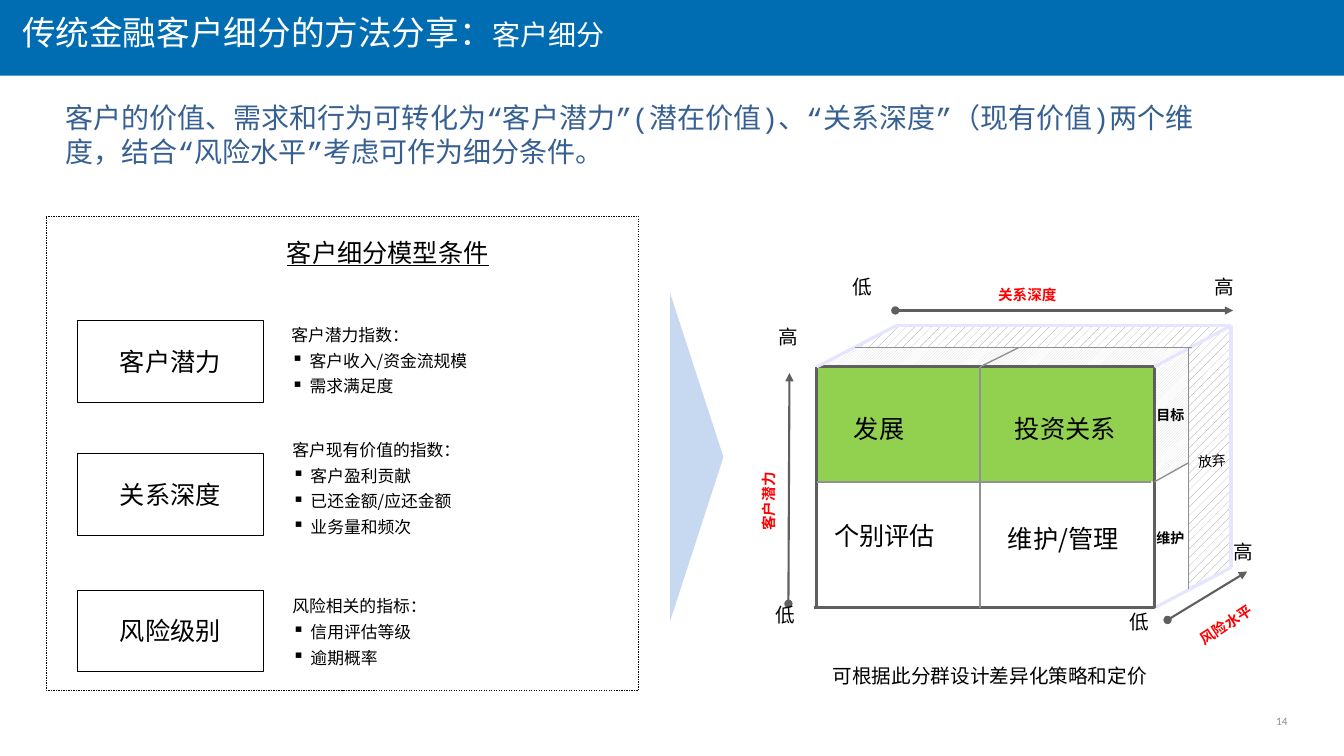
from pptx import Presentation
from pptx.dml.color import RGBColor
from pptx.enum.dml import MSO_LINE, MSO_PATTERN
from pptx.enum.shapes import MSO_CONNECTOR, MSO_SHAPE
from pptx.enum.text import MSO_ANCHOR, MSO_AUTO_SIZE, PP_ALIGN
from pptx.oxml.ns import qn
from pptx.util import Inches, Pt
from lxml import etree

RECT, TRIANGLE, RIGHT_TRIANGLE = (MSO_SHAPE.RECTANGLE, MSO_SHAPE.ISOSCELES_TRIANGLE,
                                  MSO_SHAPE.RIGHT_TRIANGLE)
DOTS, DIAGONAL = MSO_PATTERN.PERCENT_20, MSO_PATTERN.DARK_UPWARD_DIAGONAL
LEFT, CENTER, RIGHT = PP_ALIGN.LEFT, PP_ALIGN.CENTER, PP_ALIGN.RIGHT
TOP, MIDDLE = MSO_ANCHOR.TOP, MSO_ANCHOR.MIDDLE
SANS, MONO, LATIN = "Noto Sans CJK SC", "Courier New", "Calibri"
COLORS = dict(banner="006DB2", white="FFFFFF", black="000000", summary="376092",
              arrow="C6D9F1", page="8C8C8C", red="FF0000", green="92D050",
              axis="5F5F5F", edge="E5E5FF", inner="919191", hatch="DADADA")

# Content
TITLE = ("传统金融客户细分的方法分享：", "客户细分")
SUMMARY = ("客户的价值、需求和行为可转化为“客户潜力”(潜在价值)、“关系深度”（现有价值)"
           "两个维度，结合“风险水平”考虑可作为细分条件。")
PANEL_TITLE = "客户细分模型条件"
CRITERIA = [  # name, box top, list left, list top, list heading, bullets
    ("客户潜力", 3.18, 2.49, 3.14, "客户潜力指数：", ["客户收入/资金流规模", "需求满足度"]),
    ("关系深度", 4.5, 2.5, 4.28, "客户现有价值的指数：",
     ["客户盈利贡献", "已还金额/应还金额", "业务量和频次"]),
    ("风险级别", 5.85, 2.5, 5.83, "风险相关的指标：", ["信用评估等级", "逾期概率"]),
]
AXIS_ENDS = [("低", 11.12, 6.01), ("低", 8.38, 2.68), ("高", 11.97, 2.68),
             ("高", 12.15, 5.31), ("高", 7.64, 3.18), ("低", 7.61, 5.94)]
AXIS_NAMES = [("关系深度", 9.82, 2.84, 0), ("客户潜力", 7.26, 4.79, 270),
              ("风险水平", 11.81, 6.08, 327)]
QUADRANTS = [("发展", 8.43, 4.06, 0.58), ("投资关系", 10.02, 4.06, 1.09),
             ("个别评估", 8.23, 5.12, 1.09), ("维护/管理", 9.62, 5.15, 1.85)]
SIDE_LABELS = [("放弃", 11.84, 4.45, 355.5, False), ("目标", 11.43, 3.99, 0, True),
               ("维护", 11.43, 5.21, 0, True)]
FOOTNOTE = "可根据此分群设计差异化策略和定价"

# Cube geometry: front face, middle layer, back face
X0, XM, X1 = 8.1, 9.72, 11.45
Y0, YM, Y1 = 3.64, 4.78, 6.03
LAYER_X, LAYER_Y = 11.79, 3.45
BACK_X0, BACK_X1, BACK_Y0, BACK_Y1 = 8.89, 12.21, 3.23, 5.63
BACK_FACE = [(LAYER_X, LAYER_Y), (8.5, LAYER_Y), (BACK_X0, BACK_Y0), (BACK_X1, BACK_Y0),
             (BACK_X1, BACK_Y1), (LAYER_X, 5.83)]
LAYER_TOP = [(RIGHT_TRIANGLE, (8.22, 3.36, 0.2, 0.35), 270),
             (RECT, (8.46, LAYER_Y, 3.01, 0.18), 0)]
LAYER_SIDE = [(RECT, (11.15, 3.95, 0.95, 0.34), 90),
              (RIGHT_TRIANGLE, (11.54, 3.41, 0.18, 0.32), 270),
              (RIGHT_TRIANGLE, (11.55, 4.48, 0.18, 0.36), 90),
              (RIGHT_TRIANGLE, (11.53, 3.37, 0.18, 0.34), 90)]
OUTER_LINES = [  # from, to, colour
    ((8.07, Y1), (11.47, Y1), "axis"),
    ((BACK_X0, BACK_Y0), (BACK_X1, BACK_Y0), "edge"),
    ((X0, Y0), (X0, Y1), "axis"),
    ((X1, Y1), (BACK_X1, BACK_Y1), "edge"),
    ((BACK_X1, BACK_Y0), (BACK_X1, BACK_Y1), "edge"),
    ((X0, Y0), (11.47, Y0), "axis"),
    ((X0, Y0), (BACK_X0, BACK_Y0), "edge"),
]
AXES = [((7.82, 5.99), (7.83, 3.7)), ((8.88, 3.08), (12.23, 3.08)),
        ((11.58, 6.15), (12.37, 5.67))]
INNER_LINES = [
    ((LAYER_X, LAYER_Y), (LAYER_X, 5.84)), ((X1, YM), (LAYER_X, 4.59)),
    ((8.48, LAYER_Y), (11.82, LAYER_Y)), ((XM, Y0), (10.1, LAYER_Y)),
    ((XM, Y0), (XM, Y1)), ((X0, YM), (11.42, YM)),
]

prs = Presentation()
prs.slide_width, prs.slide_height = Inches(13.33), Inches(7.5)
s = prs.slides.add_slide(prs.slide_layouts[6])


def rgb(name):
    return RGBColor.from_string(COLORS[name])


def style_run(r, size, color="black", font=SANS, bold=False):
    r.font.size, r.font.name, r.font.bold = Pt(size), font, bold
    r.font.color.rgb = rgb(color)
    etree.SubElement(r.font._element, qn("a:ea")).set("typeface", font)
    r.font._element.set("lang", "zh-CN")


def frame(sp, inset=(0.08, 0.08), anchor=TOP, wrap=True, grow=False):
    tf = sp.text_frame
    tf.word_wrap, tf.vertical_anchor = wrap, anchor
    tf.auto_size = MSO_AUTO_SIZE.SHAPE_TO_FIT_TEXT if grow else MSO_AUTO_SIZE.NONE
    tf.margin_left = tf.margin_right = Inches(inset[0])
    tf.margin_top = tf.margin_bottom = Inches(inset[1])
    return tf


def add_text(text, box, size, color="black", font=SANS, bold=False, align=LEFT,
             rotation=0, **layout):
    sp = s.shapes.add_textbox(*map(Inches, box))
    sp.rotation = rotation
    tf = frame(sp, **layout)
    tf.text = text
    p = tf.paragraphs[0]
    p.alignment = align
    style_run(p.runs[0], size, color, font, bold)
    return p


def add_shape(kind, box, fill=None, rotation=0, line=None):
    sp = s.shapes.add_shape(kind, *map(Inches, box))
    sp.shadow.inherit = False
    sp.rotation = rotation
    if fill:
        sp.fill.solid()
        sp.fill.fore_color.rgb = rgb(fill)
    else:
        sp.fill.background()
    if line:
        sp.line.color.rgb, sp.line.width = rgb(line), Pt(0.25)
    else:
        sp.line.fill.background()
    return sp


def hatch(sp, pattern, color):
    sp.fill.patterned()
    sp.fill.pattern = pattern
    sp.fill.fore_color.rgb, sp.fill.back_color.rgb = rgb(color), rgb("white")


def add_line(start, end, color, width, arrow=False):
    c = s.shapes.add_connector(MSO_CONNECTOR.STRAIGHT, *map(Inches, start + end))
    c.line.color.rgb, c.line.width = rgb(color), Pt(width)
    if arrow:
        ln = c.line._get_or_add_ln()
        for tag, kind in (("a:headEnd", "oval"), ("a:tailEnd", "triangle")):
            etree.SubElement(ln, qn(tag)).set("type", kind)
    etree.SubElement(c._element.spPr, qn("a:effectLst"))


# Banner, summary and page number
add_shape(RECT, (0, 0, 13.33, 0.75), "banner")
p = add_text(TITLE[0], (0.22, 0.12, 12.23, 0.51), 24, "white", inset=(0, 0))
r = p.add_run()
r.text = TITLE[1]
style_run(r, 20, "white")
add_text("14", (11.62, 7.01, 1.15, 0.28), 8, "page", LATIN, align=RIGHT,
         inset=(0, 0), anchor=MIDDLE)
add_text(SUMMARY, (0.55, 0.95, 11.43, 0.74), 20, "summary", MONO, inset=(0.1, 0.05))

# Criteria panel
add_shape(TRIANGLE, (5.28, 4.27, 3.26, 0.53), "arrow", 90)
add_shape(RECT, (0.46, 2.14, 5.87, 4.71), line="black").line.dash_style = MSO_LINE.DASH
p = add_text(PANEL_TITLE, (2.15, 2.24, 3.39, 0.49), 18, align=CENTER, grow=True)
p.line_spacing = 1.1
p.runs[0].font.underline = True
for name, box_top, list_left, list_top, heading, bullets in CRITERIA:
    tf = frame(add_shape(RECT, (0.77, box_top, 1.84, 0.81), line="black"), anchor=MIDDLE)
    tf.text = name
    tf.paragraphs[0].alignment = CENTER
    style_run(tf.paragraphs[0].runs[0], 18)
    height = 0.36 + 0.26 * len(bullets)
    tf = frame(s.shapes.add_textbox(*map(Inches, (list_left, list_top, 4.47, height))),
               grow=True)
    tf.text = "\n".join([heading] + bullets)
    for i, p in enumerate(tf.paragraphs):
        pPr = p._p.get_or_add_pPr()
        pPr.set("marL", str(Inches(0.5)))
        pPr.set("indent", str(Inches(-0.18)))
        if i:
            etree.SubElement(pPr, qn("a:buChar")).set("char", "▪")
            p.space_before = Pt(2)
        p.space_after = Pt(2)
        style_run(p.runs[0], 12)

# Cube faces and edges, from back to front
points = [tuple(map(Inches, pt)) for pt in BACK_FACE]
builder = s.shapes.build_freeform(*points[0])
builder.add_line_segments(points[1:], close=True)
back = builder.convert_to_shape()
back.shadow.inherit = False
hatch(back, DOTS, "inner")
back.line.color.rgb, back.line.width = rgb("edge"), Pt(0.75)
for kind, box, rotation in LAYER_TOP:
    hatch(add_shape(kind, box, rotation=rotation), DIAGONAL, "hatch")
add_shape(RECT, (8.11, 3.65, 3.35, 1.13), "green")
for start, end, color in OUTER_LINES:
    add_line(start, end, color, 2.25)
for start, end in AXES:
    add_line(start, end, "axis", 1.5, arrow=True)
for kind, box, rotation in LAYER_SIDE:
    hatch(add_shape(kind, box, rotation=rotation), DIAGONAL, "hatch")
add_line((X1, Y0), (X1, Y1), "axis", 2.25)
add_line((X1, Y0), (BACK_X1, BACK_Y0), "edge", 2.25)
for start, end in INNER_LINES:
    add_line(start, end, "inner", 1)

# Cube labels
for text, x, y in AXIS_ENDS:
    add_text(text, (x, y, 0.37, 0.32), 14, inset=(0.08, 0.04), anchor=MIDDLE,
             wrap=False, grow=True)
for text, x, y, rotation in AXIS_NAMES:
    p = add_text(text, (x, y, 0.84, 0.27), 18, "red", bold=True, rotation=rotation,
                 inset=(0.08, 0.04), anchor=MIDDLE, wrap=False, grow=True)
    p.line_spacing = 0.9
    p.runs[0].font._element.set("baseline", "30000")
for text, x, y, rotation, bold in SIDE_LABELS:
    add_text(text, (x, y, 0.36, 0.25), 10, bold=bold, rotation=rotation,
             inset=(0.04, 0.04), wrap=False, grow=True)
for text, x, y, width in QUADRANTS:
    add_text(text, (x, y, width, 0.38), 18, align=CENTER, inset=(0.04, 0.04),
             wrap=False, grow=True)
add_text(FOOTNOTE, (8.16, 6.54, 3.34, 0.34), 14, inset=(0.1, 0.05), wrap=False, grow=True)

prs.save("out.pptx")
